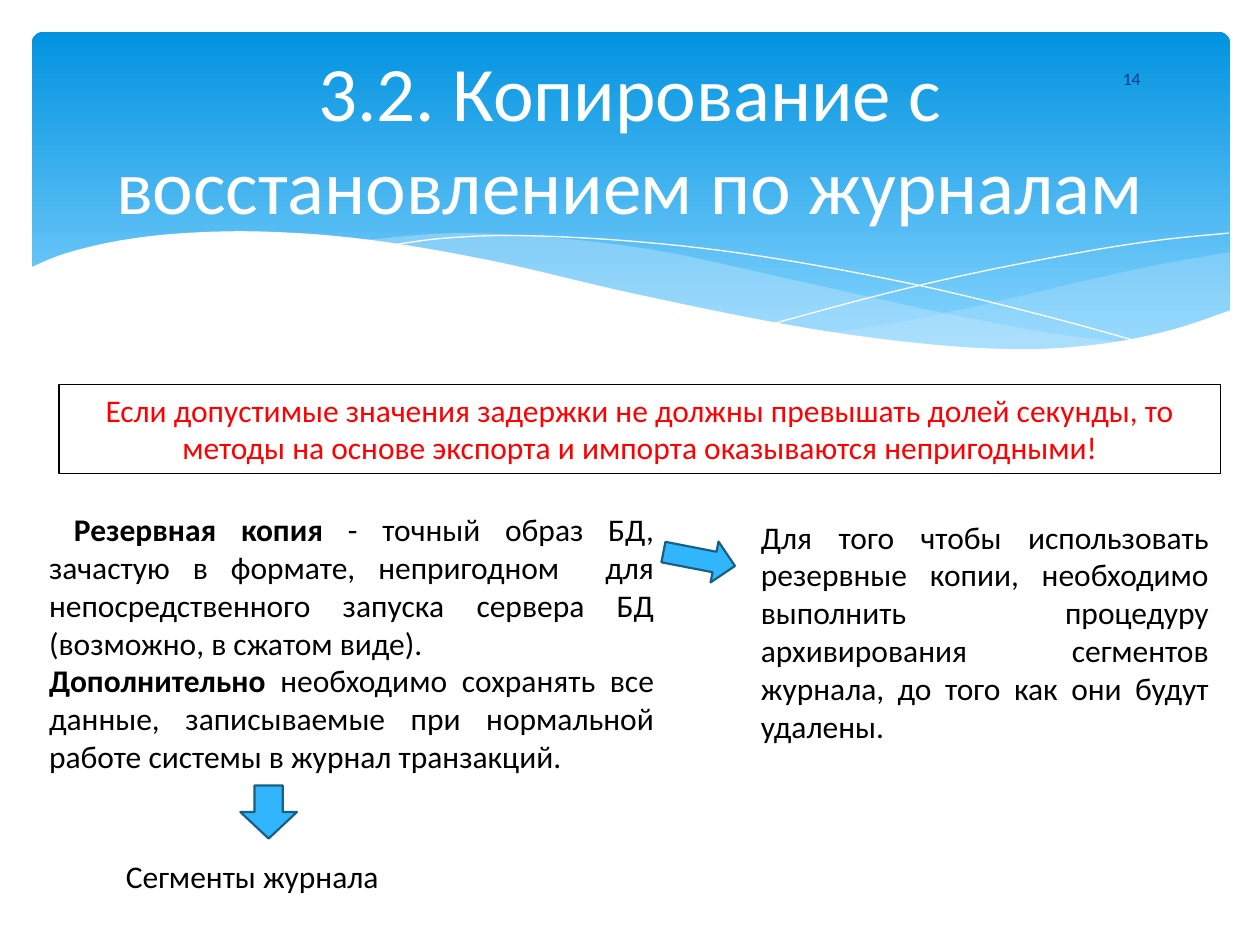
import dataclasses

import pptx
import pptx.dml.color
import pptx.enum.shapes
import pptx.enum.text
import pptx.oxml.ns
import pptx.util
from lxml import etree

Cm, Pt = pptx.util.Cm, pptx.util.Pt
ALIGN = pptx.enum.text.PP_ALIGN
ANCHOR = pptx.enum.text.MSO_ANCHOR
PRESET = pptx.enum.shapes.MSO_SHAPE


@dataclasses.dataclass(frozen=True)
class Theme:
    """Colours, font and type sizes of the slide."""
    font: str = "Calibri"
    title_size: float = 44
    body_size: float = 18
    number_size: float = 10
    white: str = "FFFFFF"
    black: str = "000000"
    warning: str = "FF0000"
    number: str = "073E87"
    sky_top: str = "0293E0"
    sky_bottom: str = "83D3FE"
    veil: str = "C6E7FC"
    arrow: str = "31B6FD"
    arrow_edge: str = "195F84"


def rgb(code):
    """Turn a hex code into a colour."""
    return pptx.dml.color.RGBColor.from_string(code)


def smooth(knots, steps=6):
    """Run a Catmull-Rom curve through the knots."""
    padded = [knots[0], *knots, knots[-1]]
    curve = [knots[0]]
    for a, b, c, d in zip(padded, padded[1:], padded[2:], padded[3:]):
        for step in range(1, steps + 1):
            t = step / steps
            curve.append(tuple(
                0.5 * (2 * q + (r - p) * t + (2 * p - 5 * q + 4 * r - s) * t ** 2
                       + (3 * q - p - 3 * r + s) * t ** 3)
                for p, q, r, s in zip(a, b, c, d)))
    return curve


class SlideBuilder:
    """Draws styled elements on one slide; all lengths are centimetres."""

    def __init__(self, slide, theme):
        """Keep the slide and its theme."""
        self.shapes = slide.shapes
        self.theme = theme

    def paint(self, shape, fill=None, line=None, width=0.0, alpha=None):
        """Set fill, outline and opacity, and drop the shadow."""
        shape.shadow.inherit = False
        if fill:
            shape.fill.solid()
            shape.fill.fore_color.rgb = rgb(fill)
        else:
            shape.fill.background()
        if alpha is not None:
            colour = shape.fill._xPr.find(".//" + pptx.oxml.ns.qn("a:srgbClr"))
            etree.SubElement(colour, pptx.oxml.ns.qn("a:alpha"), val=str(alpha * 1000))
        if line:
            shape.line.color.rgb = rgb(line)
            shape.line.width = Pt(width)
        else:
            shape.line.fill.background()

    def panel(self, box):
        """Add the rounded panel with a vertical gradient."""
        panel = self.shapes.add_shape(PRESET.ROUNDED_RECTANGLE, *map(Cm, box))
        panel.adjustments[0] = 0.034
        self.paint(panel)
        panel.fill.gradient()
        panel.fill.gradient_angle = 270
        stops = ((0, self.theme.sky_top), (0.9, self.theme.sky_bottom))
        for stop, (position, colour) in zip(panel.fill.gradient_stops, stops):
            stop.position = position
            stop.color.rgb = rgb(colour)

    def wave(self, knots, corners=(), closed=True, **style):
        """Add a smooth outline, with optional straight corners at its end."""
        points = [(Cm(x), Cm(y)) for x, y in smooth(knots) + list(corners)]
        builder = self.shapes.build_freeform(*points[0])
        builder.add_line_segments(points[1:], close=closed)
        self.paint(builder.convert_to_shape(), **style)

    def arrow(self, box, rotation):
        """Add a block arrow."""
        arrow = self.shapes.add_shape(PRESET.RIGHT_ARROW, *map(Cm, box))
        arrow.rotation = rotation
        self.paint(arrow, self.theme.arrow, self.theme.arrow_edge, 1.25)

    def text(self, box, paragraphs, size=None, colour=None, align=ALIGN.LEFT,
             anchor=ANCHOR.TOP, inset=True, wrap=True, frame=False):
        """Add text; every paragraph is a list of (words, bold) runs."""
        holder = self.shapes.add_textbox(*map(Cm, box))
        if frame:
            self.paint(holder, line=self.theme.black, width=0.75)
        body = holder.text_frame
        body.word_wrap = wrap
        body.vertical_anchor = anchor
        body.auto_size = pptx.enum.text.MSO_AUTO_SIZE.SHAPE_TO_FIT_TEXT
        if not inset:
            body.margin_left = body.margin_right = Cm(0)
            body.margin_top = body.margin_bottom = Cm(0)
        for index, runs in enumerate(paragraphs):
            paragraph = body.add_paragraph() if index else body.paragraphs[0]
            paragraph.alignment = align
            for words, bold in runs:
                run = paragraph.add_run()
                run.text = words
                run.font.name = self.theme.font
                run.font.size = Pt(size or self.theme.body_size)
                run.font.bold = bold
                run.font.color.rgb = rgb(colour or self.theme.black)


RIGHT_VEIL = [(24.79, 5.08), (23.39, 5.33), (21.87, 5.66), (19.79, 6.15), (17.93, 6.53),
              (16.79, 6.73), (18.26, 6.91), (20.4, 7.06), (21.92, 6.99), (23.39, 6.73),
              (24.79, 6.27)]
LEFT_VEIL = [(7.26, 4.85), (9.17, 4.7), (11.23, 4.8), (13.41, 5.08), (15.98, 5.64),
             (18.82, 6.27), (21.26, 6.73), (22.68, 6.93), (20.78, 7.06), (18.34, 6.96),
             (15.7, 6.55), (12.47, 5.89), (10.26, 5.36), (8.69, 5.05), (7.26, 4.85)]
FALLING_LINE = [(7.85, 4.95), (8.97, 4.8), (10.57, 4.75), (12.95, 4.88), (15.44, 5.18),
                (18.47, 5.74), (21.11, 6.38), (23.04, 6.91)]
RISING_LINE = [(15.57, 6.53), (17.65, 5.97), (19.71, 5.49), (22, 5.05), (23.47, 4.83),
               (24.77, 4.7)]
WHITE_WAVE = [(24.82, 6.25), (23.62, 6.65), (22.23, 6.93), (20.55, 7.04), (18.44, 6.91),
              (15.9, 6.55), (12.78, 5.92), (9.93, 5.26), (7.42, 4.83), (5.36, 4.67),
              (3.71, 4.7), (2.41, 4.85), (1.32, 5.11), (0.58, 5.41)]


def draw_header(slide, theme):
    """Draw the blue header with its waves, number and title."""
    slide.panel((0.64, 0.64, 24.16, 6.86))
    for veil, alpha in ((RIGHT_VEIL, 29), (LEFT_VEIL, 40)):
        slide.wave(veil, fill=theme.veil, alpha=alpha)
    for hairline in (FALLING_LINE, RISING_LINE):
        slide.wave(hairline, closed=False, line=theme.white)
    slide.wave(WHITE_WAVE, corners=[(0.58, 8.36), (24.82, 8.36)], fill=theme.white)
    centred = dict(align=ALIGN.CENTER, anchor=ANCHOR.MIDDLE, inset=False)
    slide.text((21.2, 1.07, 3.23, 1.02), [[("14", False)]],
               theme.number_size, theme.number, **centred)
    slide.text((0.64, 0.86, 24.13, 3.81),
               [[("3.2. Копирование с восстановлением по журналам", False)]],
               theme.title_size, theme.white, **centred)


def draw_content(slide, theme):
    """Draw the warning, the explanations and the arrows between them."""
    slide.text((1.19, 7.75, 23.42, 1.8),
               [[("Если допустимые значения задержки не должны превышать долей секунды, то "
                  "методы на основе экспорта и импорта оказываются непригодными!", False)]],
               colour=theme.warning, align=ALIGN.CENTER, frame=True)
    slide.text((0.74, 10.16, 12.7, 5.64),
               [[(" ", False), ("Резервная копия ", True),
                 ("- точный образ БД, зачастую в формате, непригодном  для "
                  "непосредственного запуска сервера БД (возможно, в сжатом виде).", False)],
                [("Дополнительно", True),
                 (" необходимо сохранять все данные, записываемые при нормальной "
                  "работе системы в журнал транзакций.", False)]],
               align=ALIGN.JUSTIFY)
    slide.arrow((4.88, 15.8, 1.07, 1.14), 90)
    slide.text((2.29, 17.15, 5.77, 1.02), [[("Сегменты журнала", False)]], wrap=False)
    slide.text((15.09, 10.31, 9.53, 4.88),
               [[("Для того чтобы использовать резервные копии, необходимо выполнить "
                  "процедуру архивирования сегментов журнала, до того как они будут "
                  "удалены.", False)]],
               align=ALIGN.JUSTIFY)
    slide.arrow((13.36, 10.85, 1.47, 0.84), 11)


def main():
    """Build and save the slide."""
    deck = pptx.Presentation()
    deck.slide_width, deck.slide_height = Cm(25.4), Cm(19.05)
    theme = Theme()
    slide = SlideBuilder(deck.slides.add_slide(deck.slide_layouts[6]), theme)
    draw_header(slide, theme)
    draw_content(slide, theme)
    deck.save("out.pptx")


main()
